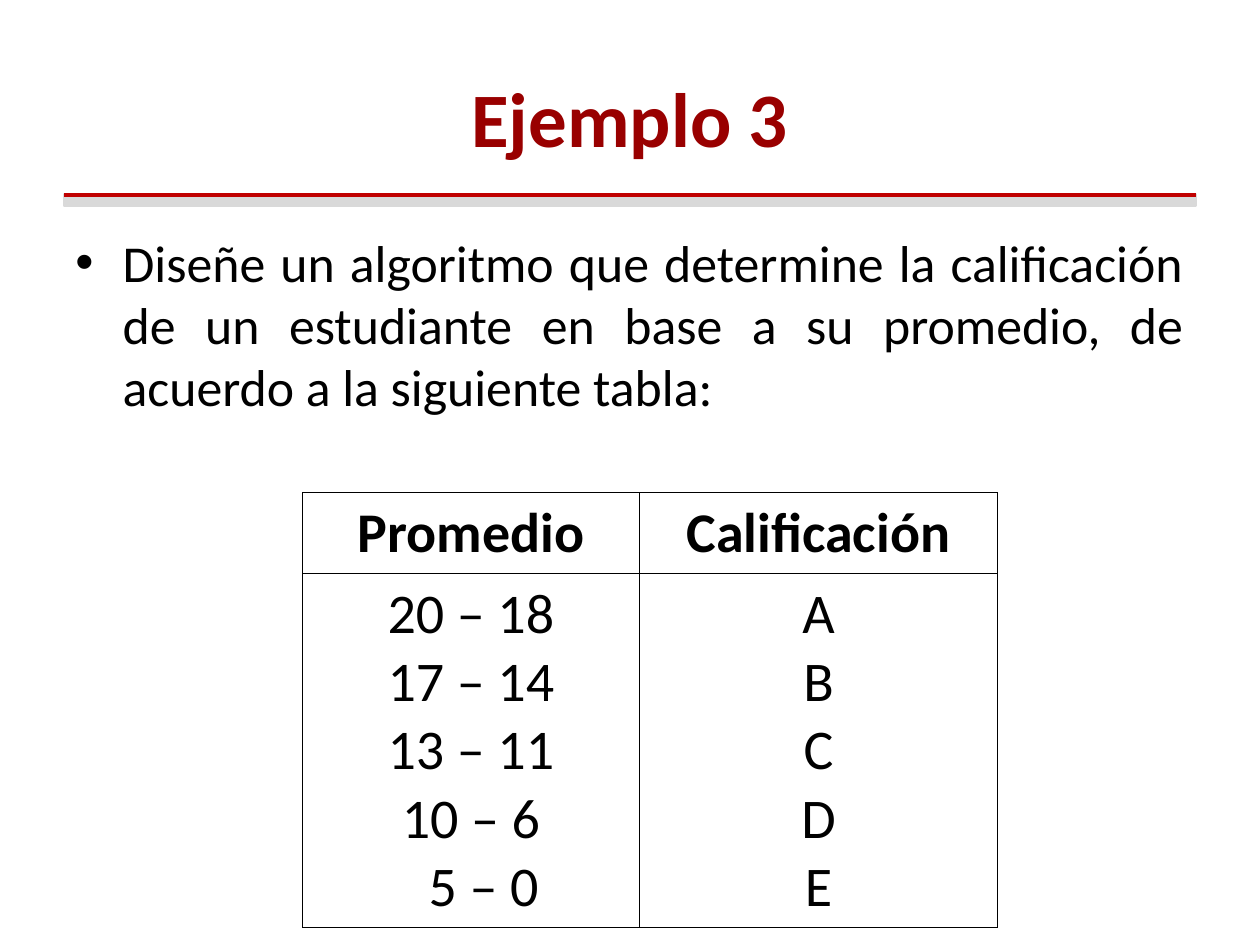
"""Build the slide "Ejemplo 3" with its table of averages and grades."""
from lxml import etree
from pptx import Presentation
from pptx.dml.color import RGBColor
from pptx.enum.shapes import MSO_CONNECTOR, MSO_SHAPE
from pptx.enum.text import MSO_ANCHOR, PP_ALIGN
from pptx.oxml.ns import qn
from pptx.util import Pt

CENTER, JUSTIFY = PP_ALIGN.CENTER, PP_ALIGN.JUSTIFY
MIDDLE = MSO_ANCHOR.MIDDLE
RECTANGLE = MSO_SHAPE.RECTANGLE
STRAIGHT = MSO_CONNECTOR.STRAIGHT

COLORS = {"title": "990000", "text": "000000", "rule": "C00000", "band": "D9D9D9"}
FONT = "Calibri"
GRADES = [
    ("Promedio", "Calificación"),
    ("20 – 18\n17 – 14\n13 – 11\n10 – 6\n5 – 0", "A\nB\nC\nD\nE"),
]


def rgb(name):
    return RGBColor.from_string(COLORS[name])


def style(paragraph, size, color="text", bold=False, align=CENTER):
    paragraph.alignment = align
    paragraph.font.name = FONT
    paragraph.font.size = Pt(size)
    paragraph.font.bold = bold
    paragraph.font.color.rgb = rgb(color)


prs = Presentation()
prs.slide_width, prs.slide_height = Pt(720), Pt(540)
slide = prs.slides.add_slide(prs.slide_layouts[6])
shapes = slide.shapes

band = shapes.add_shape(RECTANGLE, Pt(36.75), Pt(111.5), Pt(646.5), Pt(5.75))
band.shadow.inherit = False
band.fill.solid()
band.fill.fore_color.rgb = rgb("band")
band.line.color.rgb = rgb("band")
band.line.width = Pt(2)

rule = shapes.add_connector(STRAIGHT, Pt(36.75), Pt(111.5), Pt(683.25), Pt(111.5))
rule.line.color.rgb = rgb("rule")
rule.line.width = Pt(2.25)
etree.SubElement(rule._element.spPr, qn("a:effectLst"))

title = shapes.add_textbox(Pt(36), Pt(21.6), Pt(648), Pt(90)).text_frame
title.word_wrap = True
title.vertical_anchor = MIDDLE
title.text = "Ejemplo 3"
style(title.paragraphs[0], 44, "title", bold=True)

task = shapes.add_textbox(Pt(36), Pt(128.2), Pt(648), Pt(118.8)).text_frame
task.word_wrap = True
task.text = (
    "Diseñe un algoritmo que determine la calificación de un estudiante "
    "en base a su promedio, de acuerdo a la siguiente tabla:"
)
style(task.paragraphs[0], 29.6, align=JUSTIFY)
bullet_props = task.paragraphs[0]._p.get_or_add_pPr()
bullet_props.set("marL", str(Pt(27)))
bullet_props.set("indent", str(-Pt(27)))
bullet_font = etree.Element(qn("a:buFont"), typeface="Arial")
bullet_char = etree.Element(qn("a:buChar"), char="•")
bullet_props.insert(0, bullet_font)
bullet_props.insert(1, bullet_char)

grades = shapes.add_table(2, 2, Pt(172.8), Pt(281.4), Pt(397.2), Pt(248.8)).table
grades.first_row = False
grades.horz_banding = False
for column, width in zip(grades.columns, (192.7, 204.5)):
    column.width = Pt(width)
for row, height in zip(grades.rows, (46.3, 202.5)):
    row.height = Pt(height)

for row_index, row_texts in enumerate(GRADES):
    for column_index, text in enumerate(row_texts):
        cell = grades.cell(row_index, column_index)
        cell.text = text
        cell.margin_left = cell.margin_right = Pt(5)
        cell.margin_top = cell.margin_bottom = Pt(3.6)
        cell.fill.background()
        for paragraph in cell.text_frame.paragraphs:
            style(paragraph, 32, bold=row_index == 0)
        cell_props = cell._tc.get_or_add_tcPr()
        for position, side in enumerate(("lnL", "lnR", "lnT", "lnB")):
            border = etree.Element(qn(f"a:{side}"), w=str(Pt(0.45)))
            border_fill = etree.SubElement(border, qn("a:solidFill"))
            etree.SubElement(border_fill, qn("a:srgbClr"), val=COLORS["text"])
            cell_props.insert(position, border)

lowest_range = grades.cell(1, 0).text_frame.paragraphs[-1]
lowest_range._p.get_or_add_pPr().set("marL", str(Pt(14.5)))

prs.save("out.pptx")
